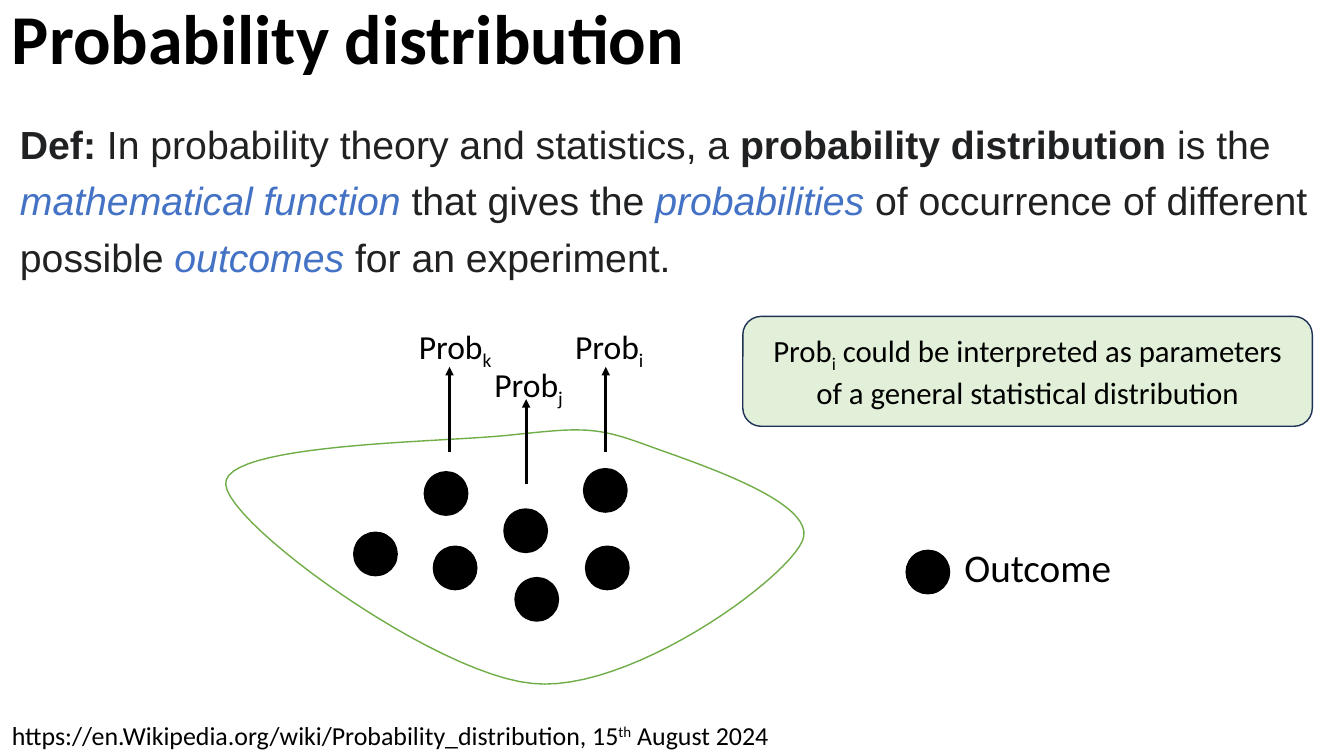
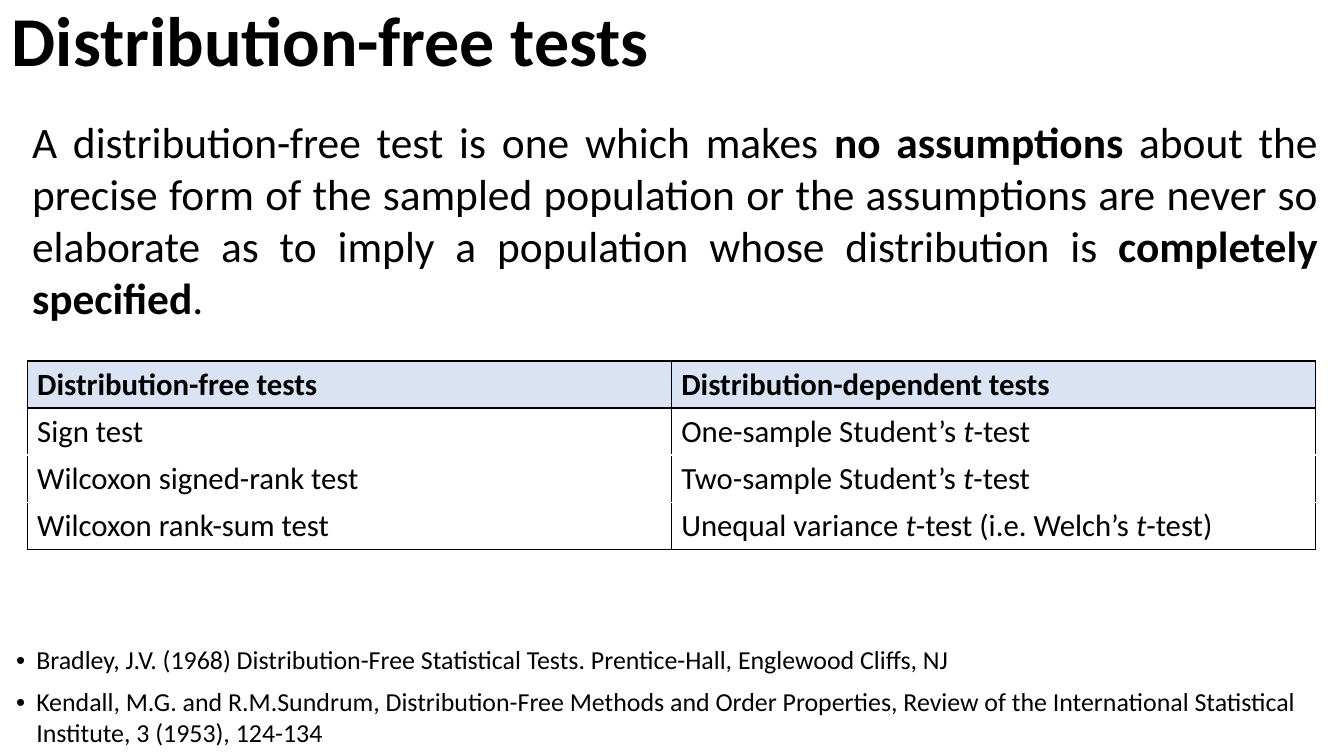
from lxml.etree import SubElement
from pptx import Presentation
from pptx.dml.color import RGBColor
from pptx.enum.shapes import MSO_CONNECTOR, MSO_SHAPE
from pptx.enum.text import MSO_ANCHOR, MSO_AUTO_SIZE, PP_ALIGN
from pptx.oxml.ns import qn
from pptx.util import Pt

BLACK = RGBColor(0x00, 0x00, 0x00)
WHITE = RGBColor(0xFF, 0xFF, 0xFF)
INK = RGBColor(0x20, 0x21, 0x22)
BLUE = RGBColor(0x44, 0x72, 0xC4)
GREEN = RGBColor(0x70, 0xAD, 0x47)
PALE_GREEN = RGBColor(0xE2, 0xF0, 0xD9)
PALE_BLUE = RGBColor(0xDA, 0xE3, 0xF3)
NAVY = RGBColor(0x1E, 0x32, 0x56)

# Shared text styles
BODY = {"name": "Calibri", "color": BLACK}
TITLE = BODY | {"size": Pt(50), "bold": True}
DEFINITION = {"name": "Arial", "size": Pt(28), "color": INK}
LEGEND = BODY | {"size": Pt(28)}
LABEL = BODY | {"size": Pt(24)}
NOTE = BODY | {"size": Pt(22)}
STATEMENT = BODY | {"size": Pt(31)}
SOURCE = BODY | {"size": Pt(18.5)}
BOLD = {"bold": True}
ITALIC = {"italic": True}
TERM = {"italic": True, "color": BLUE}
SUB = {"baseline": "-25000"}
SUPER = {"baseline": "30000"}
CENTERED = {"alignment": PP_ALIGN.CENTER}
TIGHT = {"line_spacing": 0.9}


def write(frame, runs, style, layout):
    """Fill a text frame; a run is plain text or (text, changes to the style)."""
    frame.word_wrap = True
    paragraph = frame.paragraphs[0]
    for name, value in layout.items():
        setattr(paragraph, name, value)
    for item in runs:
        text, changes = (item, {}) if isinstance(item, str) else item
        run = paragraph.add_run()
        run.text = text
        for name, value in (style | changes).items():
            if name == "color":
                run.font.color.rgb = value
            elif name == "baseline":
                run.font._element.set("baseline", value)
            else:
                setattr(run.font, name, value)


def add_grid(slide, left, top, width, heights, rows, styles, fills, rules, side):
    """Add a table; rules holds the colour of each horizontal line, top to bottom."""
    columns = len(rows[0])
    table = slide.shapes.add_table(len(rows), columns, Pt(left), Pt(top),
                                   Pt(width), Pt(sum(heights))).table
    table.first_row = table.horz_banding = False
    for r, cells in enumerate(rows):
        table.rows[r].height = Pt(heights[r])
        for c, runs in enumerate(cells):
            cell = table.cell(r, c)
            borders = {"lnL": side, "lnR": side, "lnT": rules[r], "lnB": rules[r + 1]}
            for edge, color in borders.items():
                line = SubElement(cell._tc.get_or_add_tcPr(), qn(f"a:{edge}"), w=str(Pt(1)))
                paint = SubElement(line, qn("a:solidFill"))
                SubElement(paint, qn("a:srgbClr"), val=str(color))
            cell.fill.solid()
            cell.fill.fore_color.rgb = fills[r]
            write(cell.text_frame, runs, styles[r], {})
    return table


prs = Presentation()
prs.slide_width, prs.slide_height = Pt(960), Pt(540)
distribution, tests = (prs.slides.add_slide(prs.slide_layouts[6]) for _ in range(2))

# Sample space outline, sampled from Bézier curves
outline_start = (362.2, 311)
outline_curves = [
    [(312.5, 316.1), (157.7, 316.8), (161.3, 346.3)],
    [(164.2, 375.8), (311, 481.7), (380.2, 488.2)],
    [(448.6, 495.4), (560.2, 415.4), (573.1, 386.6)],
    [(586.1, 358.6), (493.9, 329.8), (458.6, 316.8)],
    [(423.4, 303.8), (411.1, 306), outline_start],
]
STEPS = 24
points = []
p0 = outline_start
for p1, p2, p3 in outline_curves:
    for step in range(1, STEPS + 1):
        t = step / STEPS
        u = 1 - t
        points.append([Pt(u**3 * a + 3 * u * u * t * b + 3 * u * t * t * c + t**3 * d)
                       for a, b, c, d in zip(p0, p1, p2, p3)])
    p0 = p3
builder = distribution.shapes.build_freeform(*map(Pt, outline_start))
builder.add_line_segments(points, close=True)
sample_space = builder.convert_to_shape()
sample_space.shadow.inherit = False
sample_space.fill.solid()
sample_space.fill.fore_color.rgb = WHITE
sample_space.line.color.rgb = GREEN
sample_space.line.width = Pt(1)

# Outcomes; the last one belongs to the legend
for left, top in [(252.7, 380.2), (303.1, 337), (309.6, 390.2), (360, 363.6),
                  (367.9, 412.6), (416.9, 334.8), (418.3, 390.2), (647.3, 393.1)]:
    outcome = distribution.shapes.add_shape(MSO_SHAPE.OVAL, Pt(left), Pt(top), Pt(31), Pt(31))
    outcome.shadow.inherit = False
    outcome.fill.solid()
    outcome.fill.fore_color.rgb = BLACK
    outcome.line.color.rgb = BLACK
    outcome.line.width = Pt(1)

# Arrows from outcomes to their probabilities
for x, bottom in [(432.7, 322.6), (375.8, 345.6), (321.1, 322.6)]:
    arrow = distribution.shapes.add_connector(MSO_CONNECTOR.STRAIGHT, Pt(x), Pt(bottom),
                                              Pt(x), Pt(bottom - 60.5))
    arrow.line.color.rgb = BLACK
    arrow.line.width = Pt(2)
    SubElement(arrow.line._get_or_add_ln(), qn("a:tailEnd"), type="triangle")
    SubElement(arrow._element.spPr, qn("a:effectLst"))

# Interpretation note
note = distribution.shapes.add_shape(MSO_SHAPE.ROUNDED_RECTANGLE, Pt(530.6), Pt(226),
                                     Pt(406.8), Pt(78.5))
note.shadow.inherit = False
note.fill.solid()
note.fill.fore_color.rgb = PALE_GREEN
note.line.color.rgb = NAVY
note.line.width = Pt(1)
note.text_frame.vertical_anchor = MSO_ANCHOR.MIDDLE
write(note.text_frame,
      ["Prob", ("i", SUB), " could be interpreted as parameters of a general statistical distribution"],
      NOTE, CENTERED)

# Titles
for slide, top, height, anchor, title in [
    (distribution, 5.8, 54.7, MSO_ANCHOR.BOTTOM, "Probability distribution"),
    (tests, 2.9, 56.9, MSO_ANCHOR.MIDDLE, "Distribution-free tests"),
]:
    box = slide.shapes.add_textbox(Pt(1.4), Pt(top), Pt(958.6), Pt(height))
    box.text_frame.vertical_anchor = anchor
    write(box.text_frame, [title], TITLE, TIGHT)

# Running text and labels
texts = [
    (distribution, (7.2, 75.6, 950.4, 126.7), DEFINITION, {"line_spacing": 1.2}, [
        ("Def:", BOLD), " In probability theory and statistics, a ",
        ("probability distribution", BOLD), " is the ", ("mathematical function ", TERM),
        "that gives the ", ("probabilities", TERM), " of occurrence of different possible ",
        ("outcomes", TERM), " for an experiment."]),
    (distribution, (681.8, 384.5, 129.6, 41), LEGEND, {}, ["Outcome"]),
    (distribution, (1.4, 510.5, 559.4, 29.5), SOURCE, {}, [
        "https://en.Wikipedia.org/wiki/Probability_distribution, 15", ("th", SUPER),
        " August 2024"]),
    (tests, (15.8, 78.5, 932.4, 157.7), STATEMENT, {"alignment": PP_ALIGN.JUSTIFY}, [
        "A distribution-free test is one which makes ", ("no assumptions", BOLD),
        " about the precise form of the sampled population or the assumptions are never so "
        "elaborate as to imply a population whose distribution is ",
        ("completely specified", BOLD), "."]),
]
for index, left, top in [("i", 390.2, 229), ("j", 332.6, 256.3), ("k", 280.1, 229)]:
    texts.append((distribution, (left, top, 90, 36), LABEL, CENTERED, ["Prob", (index, SUB)]))
for slide, place, style, layout, runs in texts:
    box = slide.shapes.add_textbox(*map(Pt, place))
    box.text_frame.auto_size = MSO_AUTO_SIZE.SHAPE_TO_FIT_TEXT
    write(box.text_frame, runs, style, layout)

# Comparison of tests
t = ("t", ITALIC)
comparison = [
    (["Distribution-free tests"], ["Distribution-dependent tests"]),
    (["Sign test"], ["One-sample Student’s ", t, "-test"]),
    (["Wilcoxon signed-rank test"], ["Two-sample Student’s ", t, "-test"]),
    (["Wilcoxon rank-sum test"],
     ["Unequal variance ", t, "-test (i.e. Welch’s ", t, "-test)"]),
]
add_grid(tests, 19.4, 257.8, 920.2, [33.6] * 4, comparison,
         [NOTE | BOLD] + [NOTE] * 3, [PALE_BLUE] + [WHITE] * 3,
         [BLACK, BLACK, WHITE, WHITE, BLACK], BLACK)

# References
references = [
    (["Bradley, J.V. (1968) Distribution-Free Statistical Tests. Prentice-Hall, "
      "Englewood Cliffs, NJ"],),
    (["Kendall, M.G. and R.M.Sundrum, Distribution-Free Methods and Order Properties, "
      "Review of the International Statistical Institute, 3 (1953), 124-134"],),
]
reference_list = add_grid(tests, 4.3, 457.2, 955.4, [29.2, 51.5], references,
                          [SOURCE] * 2, [WHITE] * 2, [WHITE] * 3, WHITE)
for cell in reference_list.iter_cells():
    properties = cell.text_frame.paragraphs[0]._p.get_or_add_pPr()
    properties.set("marL", str(Pt(14.4)))
    properties.set("indent", str(Pt(-14.4)))
    SubElement(properties, qn("a:buFont"), typeface="Arial")
    SubElement(properties, qn("a:buChar"), char="•")

prs.save("out.pptx")
